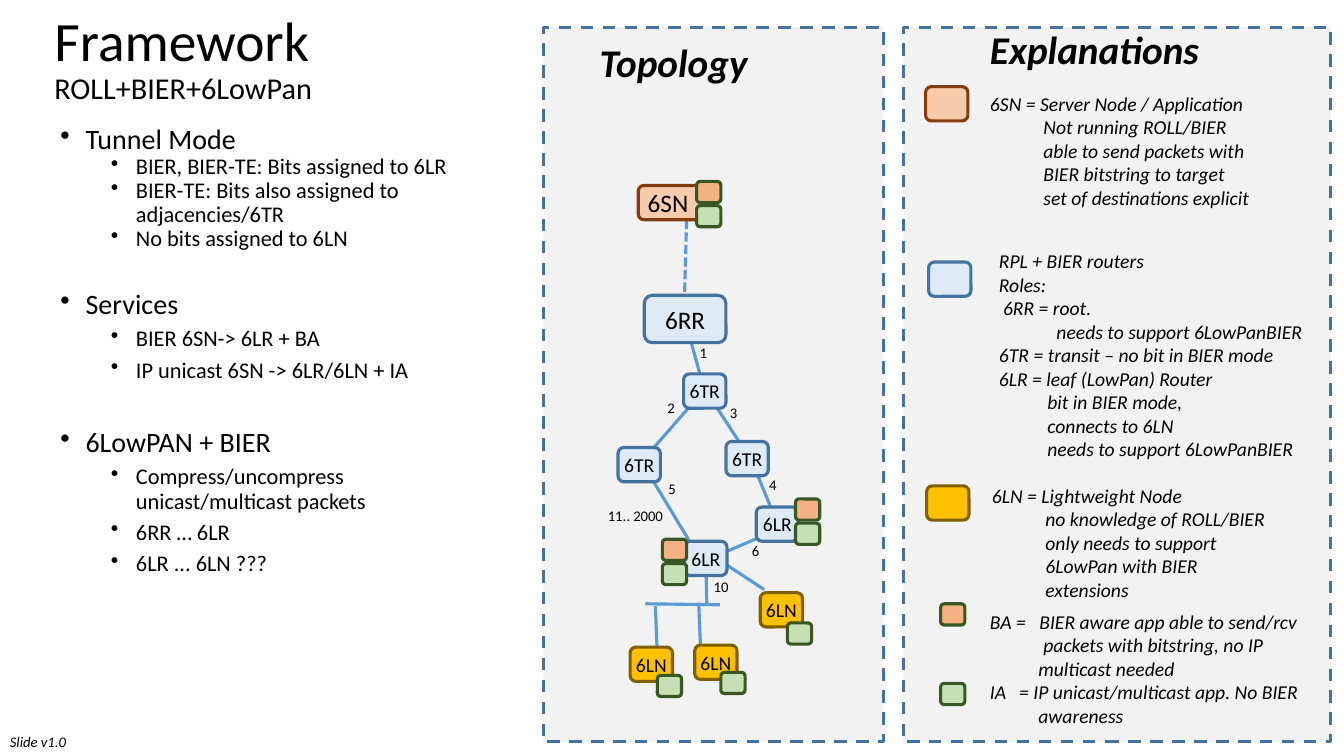
from pptx import Presentation
from pptx.dml.color import RGBColor
from pptx.enum.dml import MSO_LINE_DASH_STYLE as DASH
from pptx.enum.shapes import MSO_CONNECTOR, MSO_SHAPE as SHAPE
from pptx.enum.text import MSO_ANCHOR as ANCHOR, PP_ALIGN as ALIGN
from pptx.oxml.ns import qn
from pptx.util import Inches, Pt
from lxml.etree import SubElement

THEME = {
    "font": "Calibri", "text": "000000", "link": "5B9BD5", "line": 2.25,
    # fill and outline of each kind of shape
    "panel": ("F2F2F2", "43739E"), "router": ("DEEBF7", "43739E"),
    "server": ("F8CBAD", "843C0B"), "light": ("FFC000", "806000"),
    "BA": ("F4B183", "385723"), "IA": ("C5E0B4", "385723"),
    "title": 39.6, "subtitle": 21.6, "heading": 28, "topic": 20,
    "big": 18, "point": 16, "small": 14, "tiny": 10.5,
}
NODE = (0.42, 0.34)
BADGE = (0.24, 0.21)

deck = Presentation()
deck.slide_width, deck.slide_height = Inches(13.33), Inches(7.5)
page = deck.slides.add_slide(deck.slide_layouts[6])


def add_box(kind, left, top, width, height, outline=SHAPE.ROUNDED_RECTANGLE):
    box = page.shapes.add_shape(outline, Inches(left), Inches(top), Inches(width), Inches(height))
    box.shadow.inherit = False
    fill, line = THEME[kind]
    box.fill.solid()
    box.fill.fore_color.rgb = RGBColor.from_string(fill)
    box.line.color.rgb = RGBColor.from_string(line)
    box.line.width = Pt(THEME["line"])
    return box


def write(box, lines, size, bold=False, italic=False, wrap=True):
    frame = box.text_frame
    frame.word_wrap = wrap
    frame.text = "\n".join(lines)
    for para in frame.paragraphs:
        para.font.size = Pt(size)
        for span in para.runs:
            span.font.name, span.font.size = THEME["font"], Pt(size)
            span.font.bold, span.font.italic = bold, italic
            span.font.color.rgb = RGBColor.from_string(THEME["text"])
    return frame


# Panels
for left, width in [(5.39, 3.37), (8.96, 4.24)]:
    panel = add_box("panel", left, 0.27, width, 7.09, SHAPE.RECTANGLE)
    panel.line.dash_style = DASH.DASH

# Links: from x, from y, to x, to y, dashed
links = [
    (6.81, 2.18, 6.79, 2.93, True),
    (6.81, 3.23, 6.98, 3.85, False),
    (6.94, 3.92, 6.32, 4.63, False),
    (7.01, 3.89, 7.44, 4.55, False),
    (7.45, 4.56, 7.73, 5.24, False),
    (6.38, 4.61, 6.96, 5.57, False),
    (7.72, 5.25, 7.0, 5.56, False),
    (7.11, 5.54, 7.58, 5.85, False),
    (7.0, 5.52, 7.01, 6.01, False),
    (6.4, 5.99, 7.14, 6.0, False),
    (6.5, 6.01, 6.52, 6.51, False),
    (6.93, 5.98, 6.95, 6.48, False),
]
for *ends, dashed in links:
    link = page.shapes.add_connector(MSO_CONNECTOR.STRAIGHT, *[Inches(end) for end in ends])
    link.line.color.rgb = RGBColor.from_string(THEME["link"])
    link.line.width = Pt(THEME["line"])
    if dashed:
        link.line.dash_style = DASH.SQUARE_DOT
    SubElement(link._element.spPr, qn("a:effectLst"))

# Nodes
nodes = [
    ("6SN", "server", 6.33, 1.84, 0.69, 0.34, "big"),
    ("6RR", "router", 6.39, 2.93, 0.81, 0.47, "big"),
    ("6TR", "router", 6.78, 3.71, *NODE, "small"),
    ("6TR", "router", 6.13, 4.44, *NODE, "small"),
    ("6TR", "router", 7.2, 4.38, *NODE, "small"),
    ("6LR", "router", 7.5, 5.03, *NODE, "small"),
    ("6LR", "router", 6.79, 5.37, *NODE, "small"),
    ("6LN", "light", 7.54, 5.88, *NODE, "small"),
    ("6LN", "light", 6.25, 6.42, *NODE, "small"),
    ("6LN", "light", 6.89, 6.4, *NODE, "small"),
]
for name, kind, left, top, width, height, size in nodes:
    frame = write(add_box(kind, left, top, width, height), [name], THEME[size], wrap=False)
    frame.margin_left = frame.margin_top = frame.margin_bottom = 0
    # The server label leaves room for its badges
    frame.margin_right = Inches(0.1 if name == "6SN" else 0)
    frame.vertical_anchor = ANCHOR.MIDDLE
    frame.paragraphs[0].alignment = ALIGN.CENTER

# Application badges: a BA stacked on an IA, or an IA alone
for left, top in [(6.91, 1.8), (7.89, 4.95), (6.57, 5.35)]:
    add_box("BA", left, top, *BADGE)
    add_box("IA", left, top + 0.24, *BADGE)
for left, top in [(7.81, 6.18), (6.52, 6.7), (7.15, 6.67)]:
    add_box("IA", left, top, *BADGE)

# Legend keys
for kind, left, top, size in [
    ("server", 9.18, 0.86, NODE), ("router", 9.21, 2.6, NODE), ("light", 9.19, 4.82, NODE),
    ("BA", 9.33, 5.99, BADGE), ("IA", 9.33, 6.78, BADGE),
]:
    add_box(kind, left, top, *size)

# Link numbers and slide version
for label, left, top, width in [
    ("1", 6.84, 3.36, 0.28), ("2", 6.52, 3.91, 0.28), ("3", 7.14, 3.96, 0.28),
    ("4", 7.53, 4.67, 0.28), ("5", 6.53, 4.71, 0.28), ("6", 7.36, 5.33, 0.28),
    ("10", 6.98, 5.68, 0.35), ("11.. 2000", 5.93, 4.98, 0.79), ("Slide v1.0", 0, 7.22, 0.77),
]:
    box = page.shapes.add_textbox(Inches(left), Inches(top), Inches(width), Inches(0.28))
    write(box, [label], THEME["tiny"], italic=label.startswith("Slide"), wrap=False)

# Panel headings
for heading, left, top, width in [("Topology", 5.85, 0.33, 2.2), ("Explanations", 9.72, 0.2, 3.08)]:
    box = page.shapes.add_textbox(Inches(left), Inches(top), Inches(width), Inches(0.57))
    write(box, [heading], THEME["heading"], bold=True, italic=True)

# Explanations: each line has a left margin; a tab makes it a hanging line
explanations = [
    (9.72, 0.86, 3.08, 1.28, [
        (0, "6SN = Server Node / Application"), (0.53, "Not running ROLL/BIER"),
        (0.53, "able to send packets with"), (0.53, "BIER bitstring to target"),
        (0.53, "set of destinations explicit")]),
    (9.81, 2.42, 3.36, 2.22, [
        (0, "RPL + BIER routers"), (0, "Roles:"), (0.04, "6RR = root."),
        (0.57, "needs to support 6LowPanBIER"), (0, "6TR = transit – no bit in BIER mode"),
        (0, "6LR = leaf (LowPan) Router"), (0.48, "bit in BIER mode,"),
        (0.48, "connects to 6LN"), (0.48, "needs to support 6LowPanBIER")]),
    (9.74, 4.75, 3.08, 1.28, [
        (0, "6LN = Lightweight Node"), (0.53, "no knowledge of ROLL/BIER"),
        (0.53, "only needs to support"), (0.53, "6LowPan with BIER"), (0.53, "extensions")]),
    (9.72, 6.0, 3.62, 1.28, [
        (0.49, "BA =\tBIER aware app able to send/rcv"),
        (0.53, "packets with bitstring, no IP"), (0.48, "multicast needed"),
        (0.29, "IA\t= IP unicast/multicast app. No BIER"), (0.48, "awareness")]),
]
for left, top, width, height, lines in explanations:
    box = page.shapes.add_textbox(Inches(left), Inches(top), Inches(width), Inches(height))
    frame = write(box, [line for _, line in lines], THEME["small"], italic=True)
    for para, (margin, line) in zip(frame.paragraphs, lines):
        props = para._p.get_or_add_pPr()
        props.set("marL", str(Inches(margin)))
        props.set("indent", str(-Inches(margin) if "\t" in line else 0))

# Title
box = page.shapes.add_textbox(Inches(0.44), Inches(0.09), Inches(11.98), Inches(1.01))
frame = write(box, ["Framework", "ROLL+BIER+6LowPan"], THEME["title"])
frame.vertical_anchor = ANCHOR.MIDDLE
for para, size in zip(frame.paragraphs, ("title", "subtitle")):
    para.line_spacing = 0.9
    para.font.size = para.runs[0].font.size = Pt(THEME[size])

# Bullets: level, space before in points, text
bullets = [
    (0, 10, "Tunnel Mode"),
    (1, 0, "BIER, BIER-TE: Bits assigned to 6LR"),
    (1, 0, "BIER-TE: Bits also assigned to adjacencies/6TR"),
    (1, 0, "No bits assigned to 6LN"),
    (0, 27.5, "Services"),
    (1, 5, "BIER 6SN-> 6LR + BA"),
    (1, 5, "IP unicast 6SN -> 6LR/6LN + IA"),
    (0, 32.5, "6LowPAN + BIER"),
    (1, 5, "Compress/uncompress unicast/multicast packets"),
    (1, 5, "6RR … 6LR"),
    (1, 5, "6LR ... 6LN ???"),
]
box = page.shapes.add_textbox(Inches(0.5), Inches(1.19), Inches(4.45), Inches(6.31))
frame = write(box, [text for _, _, text in bullets], THEME["point"])
for para, (level, gap, _) in zip(frame.paragraphs, bullets):
    para.level, para.line_spacing, para.space_before = level, 0.9, Pt(gap)
    if level == 0:
        para.font.size = para.runs[0].font.size = Pt(THEME["topic"])
    props = para._p.get_or_add_pPr()
    props.set("marL", str(Inches(0.25 + 0.5 * level)))
    props.set("indent", str(-Inches(0.25)))
    bullet = props.makeelement(qn("a:buChar"), {"char": "•"})
    props.find(qn("a:defRPr")).addprevious(bullet)

deck.save("out.pptx")
